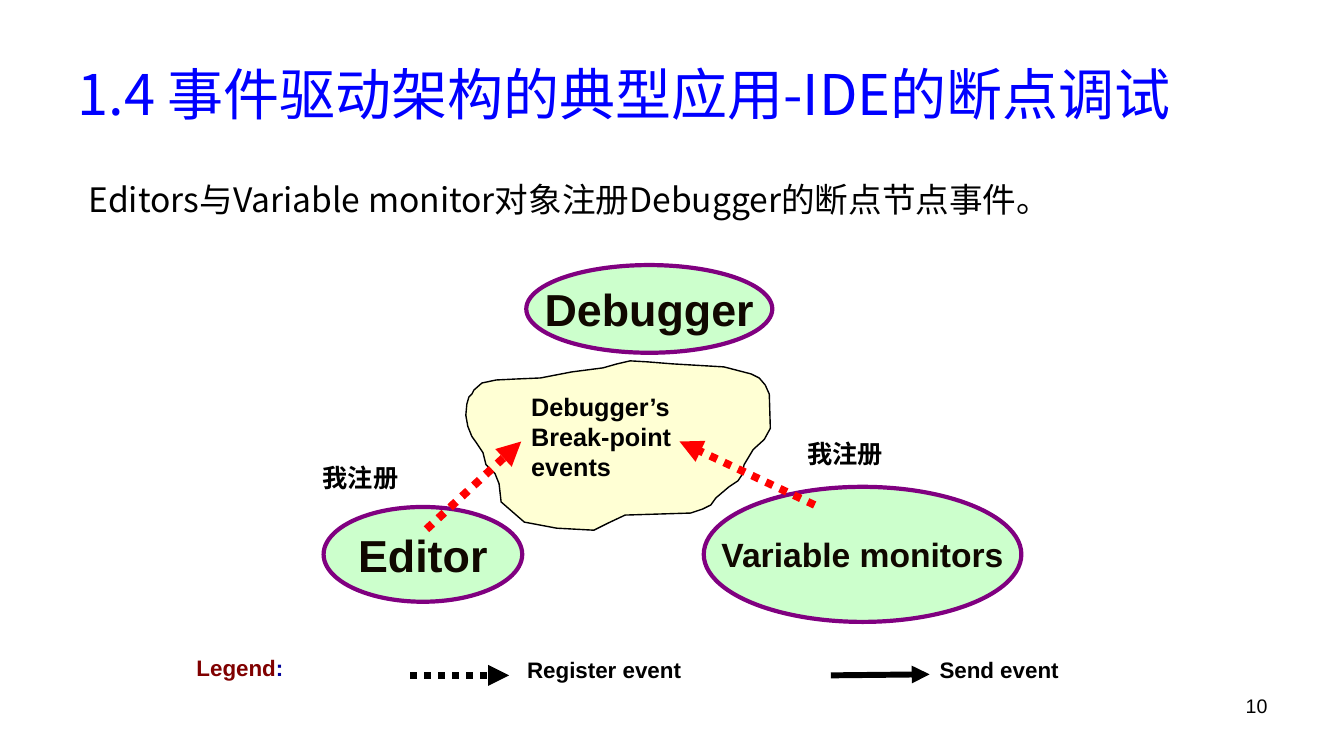
from lxml import etree
from pptx import Presentation
from pptx.dml.color import RGBColor
from pptx.enum.dml import MSO_LINE
from pptx.enum.shapes import MSO_CONNECTOR, MSO_SHAPE
from pptx.enum.text import MSO_ANCHOR, MSO_AUTO_SIZE, PP_ALIGN
from pptx.oxml.ns import qn
from pptx.util import Inches, Pt

BLACK = RGBColor(0x00, 0x00, 0x00)
BLUE = RGBColor(0x00, 0x00, 0xFF)
NAVY = RGBColor(0x00, 0x00, 0x99)
MAROON = RGBColor(0x80, 0x00, 0x00)
RED = RGBColor(0xFF, 0x00, 0x00)
PURPLE = RGBColor(0x80, 0x00, 0x80)
MINT = RGBColor(0xCC, 0xFF, 0xCC)
DARK_GREEN = RGBColor(0x10, 0x08, 0x00)
YELLOW = RGBColor(0xFF, 0xFF, 0x99)

LATIN = "Arial"
CJK = "Noto Sans CJK SC"

# Outline of the event cloud, as inches from its box's top left corner
CLOUD = [
    (0.03, 0.43), (0.06, 0.40), (0.08, 0.36), (0.16, 0.29), (0.30, 0.26),
    (0.50, 0.25), (0.74, 0.24), (1.05, 0.18), (1.36, 0.14), (1.50, 0.10),
    (1.63, 0.07), (1.80, 0.08), (2.05, 0.10), (2.56, 0.13), (2.83, 0.20),
    (2.91, 0.24), (2.97, 0.31), (3.01, 0.40), (3.02, 0.74), (2.96, 0.85),
    (2.85, 0.95), (2.76, 1.10), (2.74, 1.20), (2.70, 1.26), (2.61, 1.32),
    (2.48, 1.43), (2.43, 1.50), (2.35, 1.54), (2.23, 1.58), (1.58, 1.60),
    (1.41, 1.68), (1.27, 1.75), (0.90, 1.73), (0.58, 1.67), (0.35, 1.47),
    (0.33, 1.29), (0.29, 1.19), (0.20, 1.10), (0.17, 0.98), (0.11, 0.89),
    (0.06, 0.82), (0.02, 0.72), (0.00, 0.61), (0.01, 0.50),
]


def format_runs(tf, size, color=BLACK, font=LATIN, bold=False):
    for p in tf.paragraphs:
        for r in p.runs:
            r.font.size, r.font.bold, r.font.name = Pt(size), bold, font
            r.font.color.rgb = color
            ea = etree.SubElement(r.font._element, qn("a:ea"))
            ea.set("typeface", font)


def place(shape, x, y, w, h):
    shape.left, shape.top = Inches(x), Inches(y)
    shape.width, shape.height = Inches(w), Inches(h)


def add_label(s, x, y, w, h, text, size, font=LATIN, bold=True, inset=0.1):
    sp = s.shapes.add_textbox(Inches(x), Inches(y), Inches(w), Inches(h))
    tf = sp.text_frame
    tf.word_wrap = True
    tf.margin_left = tf.margin_right = Inches(inset)
    tf.text = text
    format_runs(tf, size, font=font, bold=bold)
    return tf


def add_arrow(s, start, end, color, width, dotted=False):
    line = s.shapes.add_connector(
        MSO_CONNECTOR.STRAIGHT, *(Inches(v) for v in start + end))
    line.line.color.rgb = color
    line.line.width = Pt(width)
    if dotted:
        line.line.dash_style = MSO_LINE.ROUND_DOT
    ln = line.line._get_or_add_ln()
    etree.SubElement(ln, qn("a:tailEnd")).set("type", "triangle")
    etree.SubElement(line._element.spPr, qn("a:effectLst"))


def add_component(s, x, y, w, h, name, size):
    sp = s.shapes.add_shape(
        MSO_SHAPE.OVAL, Inches(x), Inches(y), Inches(w), Inches(h))
    sp.shadow.inherit = False
    sp.fill.solid()
    sp.fill.fore_color.rgb = MINT
    sp.line.color.rgb = PURPLE
    sp.line.width = Pt(3)
    tf = sp.text_frame
    tf.word_wrap = False
    tf.vertical_anchor = MSO_ANCHOR.MIDDLE
    tf.text = name
    tf.paragraphs[0].alignment = PP_ALIGN.CENTER
    format_runs(tf, size, DARK_GREEN, bold=True)


def add_event_cloud(s, x, y):
    points = [(Inches(x + dx), Inches(y + dy)) for dx, dy in CLOUD]
    builder = s.shapes.build_freeform(*points[0])
    builder.add_line_segments(points[1:], close=True)
    sp = builder.convert_to_shape()
    sp.shadow.inherit = False
    sp.fill.solid()
    sp.fill.fore_color.rgb = YELLOW
    color = sp._element.spPr.find(qn("a:solidFill"))[0]
    etree.SubElement(color, qn("a:alpha")).set("val", "42000")
    sp.line.color.rgb = BLACK
    sp.line.width = Pt(1)
    add_label(s, x + 0.55, y + 0.32, 1.81, 1,
              "Debugger’s\nBreak-point events", 18)


def add_heading(s):
    title, body = s.shapes.title, s.placeholders[1]
    place(title, 0.67, 0.3, 12, 1.25)
    tf = title.text_frame
    tf.text = "1.4 事件驱动架构的典型应用-IDE的断点调试"
    tf.auto_size = MSO_AUTO_SIZE.NONE
    tf.vertical_anchor = MSO_ANCHOR.MIDDLE
    tf.paragraphs[0].alignment = PP_ALIGN.LEFT
    format_runs(tf, 40, BLUE, CJK)

    place(body, 0.78, 1.77, 11.64, 0.46)
    tf = body.text_frame
    tf.text = "Editors与Variable monitor对象注册Debugger的断点节点事件。"
    tf.auto_size = MSO_AUTO_SIZE.NONE
    p = tf.paragraphs[0]
    pPr = p._p.get_or_add_pPr()
    pPr.set("marL", "0")
    pPr.set("indent", "0")
    etree.SubElement(pPr, qn("a:buNone"))
    p.line_spacing = 0.9
    p.space_before = Pt(0)
    format_runs(tf, 24, font=CJK)


def add_diagram(s, x, y):
    """Draw the components and their registrations from a top left corner."""
    add_component(s, x + 2.02, y, 2.44, 0.87, "Debugger", 32)
    add_component(s, x + 0.01, y + 2.4, 1.97, 0.94, "Editor", 32)
    add_component(s, x + 3.78, y + 2.2, 3.15, 1.34, "Variable monitors", 24)
    add_event_cloud(s, x + 1.42, y + 0.88)
    add_arrow(s, (x + 4.88, y + 2.38), (x + 3.54, y + 1.75), RED, 5.5, True)
    add_arrow(s, (x + 1.03, y + 2.62), (x + 1.97, y + 1.75), RED, 5.75, True)
    for dx, dy in ((0, 1.91), (4.81, 1.67)):
        add_label(s, x + dx, y + dy, 1.26, 0.4, "我注册", 18, CJK, inset=0)


def add_legend(s, x, y):
    tf = add_label(s, x, y - 0.02, 1.69, 0.37, "Legend", 16)
    tf.paragraphs[0].add_run().text = ":"
    format_runs(tf, 16, MAROON, bold=True)
    tf.paragraphs[0].runs[1].font.color.rgb = NAVY
    add_arrow(s, (x + 2.22, y + 0.24), (x + 3.2, y + 0.24), BLACK, 5, True)
    add_label(s, x + 3.28, y, 2.66, 0.37, "Register event", 16)
    add_arrow(s, (x + 6.39, y + 0.24), (x + 7.37, y + 0.23), BLACK, 4.25)
    add_label(s, x + 7.37, y, 2.04, 0.37, "Send event", 16)


def add_page_number(s, number):
    tf = add_label(s, 9.56, 6.83, 3.11, 0.52, number, 14, bold=False)
    tf.paragraphs[0].alignment = PP_ALIGN.RIGHT


def main():
    prs = Presentation()
    prs.slide_width, prs.slide_height = Inches(13.33), Inches(7.5)
    s = prs.slides.add_slide(prs.slide_layouts[1])
    add_heading(s)
    add_diagram(s, 3.2, 2.63)
    add_legend(s, 1.85, 6.46)
    add_page_number(s, "10")
    prs.save("out.pptx")


if __name__ == "__main__":
    main()
